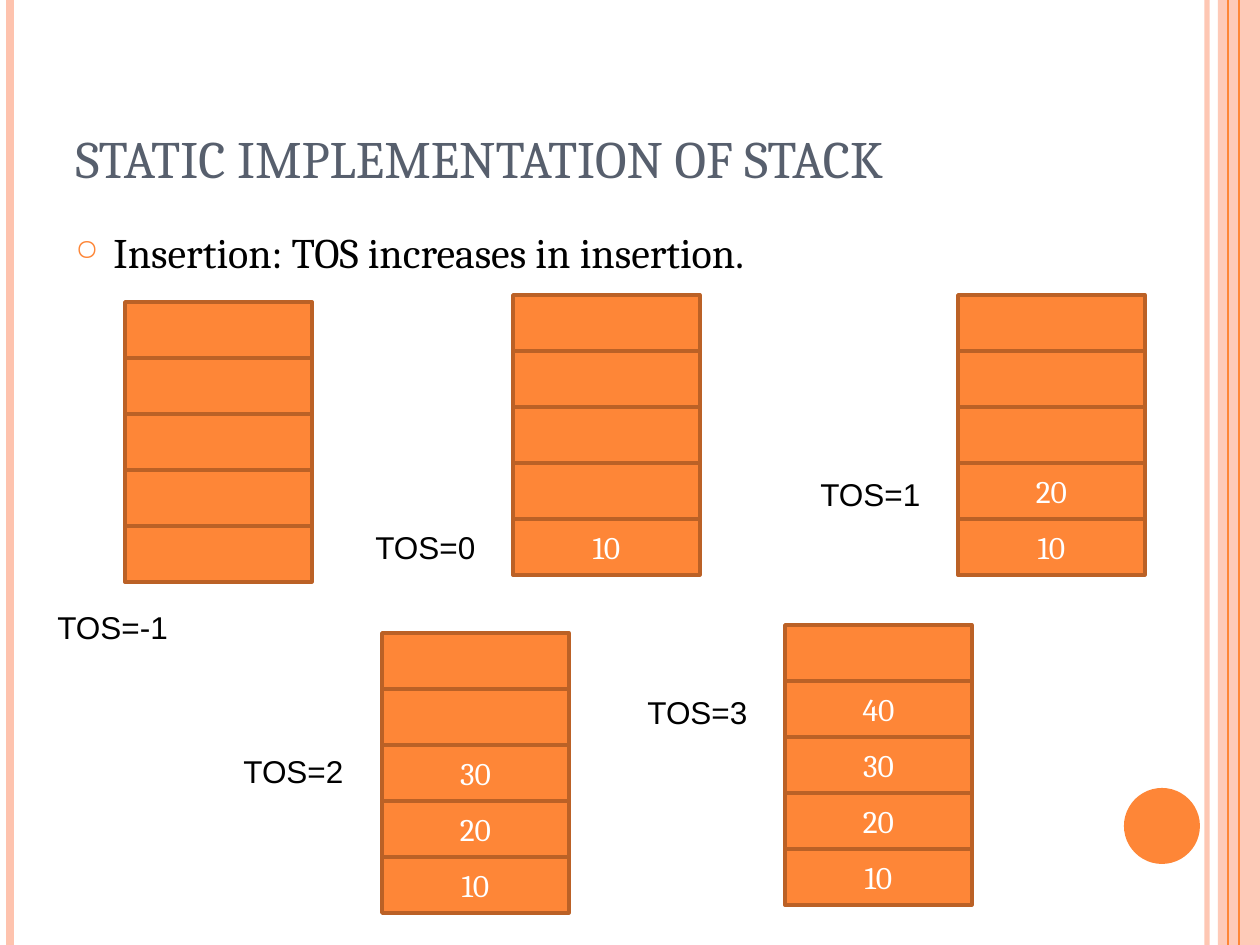
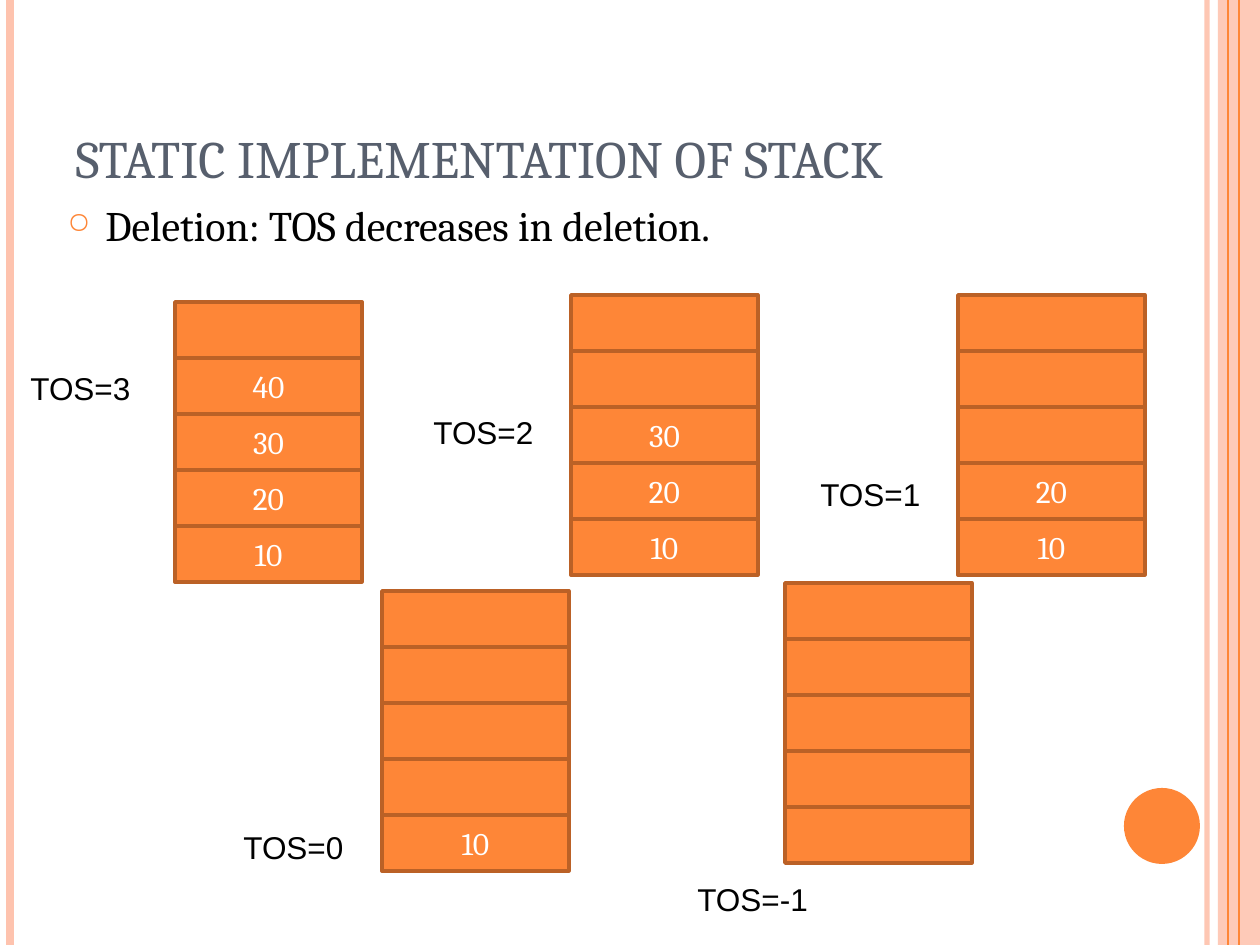
from lxml.etree import SubElement
from pptx import Presentation
from pptx.dml.color import RGBColor
from pptx.enum.shapes import MSO_CONNECTOR as CONNECTOR, MSO_SHAPE as SHAPE
from pptx.enum.text import MSO_ANCHOR as ANCHOR, MSO_AUTO_SIZE as FIT, PP_ALIGN as ALIGN
from pptx.oxml.ns import qn
from pptx.util import Pt

PX = 914400 // 126
ORANGE, PEACH, RUST = "FE8637", "FEC3AE", "BB6126"
SLATE, BLACK, WHITE = "575F6D", "000000", "FFFFFF"
SLIDE_W, SLIDE_H = 1260, 945
CELL_W, CELL_H, CELLS = 187, 56, 5
LABEL_W, LABEL_H = 142, 50
INDENT = 38

STRIPES = [(1207, PEACH, 3, 93), (10, PEACH, 4.5, 100), (1239, ORANGE, 1.5, 100)]
EDGE_LINE = (1228, ORANGE, 0.75, 100)

# topic, topic position, then per stack: item count, stack position, label position
SLIDES = [
    ("Insertion: TOS increases in insertion.", (63, 220), [
        (0, (125, 302), (45, 602)),
        (1, (513, 295), (363, 522)),
        (2, (958, 295), (808, 469)),
        (3, (382, 633), (231, 746)),
        (4, (785, 625), (635, 687)),
    ]),
    ("Deletion: TOS decreases in deletion.", (55, 193), [
        (4, (175, 302), (18, 363)),
        (3, (571, 295), (421, 407)),
        (2, (958, 295), (808, 469)),
        (1, (382, 591), (231, 822)),
        (0, (785, 583), (685, 874)),
    ]),
]


def paint(fill, color):
    fill.solid()
    fill.fore_color.rgb = RGBColor.from_string(color)


def write(shape, text, size=18, font="Cambria", color=BLACK,
          align=ALIGN.LEFT, anchor=ANCHOR.TOP, fit=FIT.NONE):
    frame = shape.text_frame
    frame.word_wrap = True
    frame.auto_size = fit
    frame.vertical_anchor = anchor
    paragraph = frame.paragraphs[0]
    paragraph.alignment = align
    run = paragraph.add_run()
    run.text = text
    run.font.size = Pt(size)
    run.font.name = font
    paint(run.font.fill, color)
    return paragraph


prs = Presentation()
prs.slide_width, prs.slide_height = SLIDE_W * PX, SLIDE_H * PX

for topic, (topic_x, topic_y), stacks in SLIDES:
    slide = prs.slides.add_slide(prs.slide_layouts[5])
    shapes = slide.shapes
    paint(slide.background.fill, WHITE)

    side_band = shapes.add_shape(SHAPE.RECTANGLE, 1218 * PX, 0, 42 * PX, SLIDE_H * PX)
    side_band.shadow.inherit = False
    side_band.line.fill.background()
    paint(side_band.fill, PEACH)
    for tint in side_band.element.iter(qn("a:srgbClr")):
        SubElement(tint, qn("a:alpha"), val="87000")

    for x, color, weight, opacity in [*STRIPES, EDGE_LINE]:
        stripe = shapes.add_connector(CONNECTOR.STRAIGHT, x * PX, 0, x * PX, SLIDE_H * PX)
        stripe.line.width = Pt(weight)
        paint(stripe.line.fill, color)
        if opacity < 100:
            for tint in stripe.element.iter(qn("a:srgbClr")):
                SubElement(tint, qn("a:alpha"), val=str(opacity * 1000))
        SubElement(stripe.element.spPr, qn("a:effectLst"))

    page_disc = shapes.add_shape(SHAPE.OVAL, 1124 * PX, 788 * PX, 76 * PX, 76 * PX)
    page_disc.shadow.inherit = False
    page_disc.line.fill.background()
    paint(page_disc.fill, ORANGE)

    title = shapes.title
    title.left, title.top, title.width, title.height = 63 * PX, 38 * PX, 1029 * PX, 157 * PX
    write(title, "STATIC IMPLEMENTATION OF STACK", size=30, color=SLATE, anchor=ANCHOR.BOTTOM)

    topic_box = shapes.add_textbox(topic_x * PX, topic_y * PX, 1029 * PX, 672 * PX)
    bullet = write(topic_box, topic, size=24)
    bullet.space_before = Pt(6)
    props = bullet.runs[0].font and bullet._p.get_or_add_pPr()
    props.set("marL", str(INDENT * PX))
    props.set("indent", str(-INDENT * PX))
    SubElement(SubElement(props, qn("a:buClr")), qn("a:srgbClr"), val=ORANGE)
    SubElement(props, qn("a:buSzPct"), val="70000")
    SubElement(props, qn("a:buChar"), char="○")

    for count, (stack_x, stack_y), (label_x, label_y) in stacks:
        for index in range(CELLS):
            cell_y = stack_y + (CELLS - 1 - index) * CELL_H
            cell = shapes.add_shape(SHAPE.RECTANGLE, stack_x * PX, cell_y * PX,
                                    CELL_W * PX, CELL_H * PX)
            cell.shadow.inherit = False
            paint(cell.fill, ORANGE)
            paint(cell.line.fill, RUST)
            cell.line.width = Pt(2)
            if index < count:
                write(cell, str(10 * (index + 1)), color=WHITE,
                      align=ALIGN.CENTER, anchor=ANCHOR.MIDDLE)

        tos_label = shapes.add_textbox(label_x * PX, label_y * PX, LABEL_W * PX, LABEL_H * PX)
        write(tos_label, f"TOS={count - 1}", font="Arial", fit=FIT.SHAPE_TO_FIT_TEXT)

prs.save("out.pptx")
